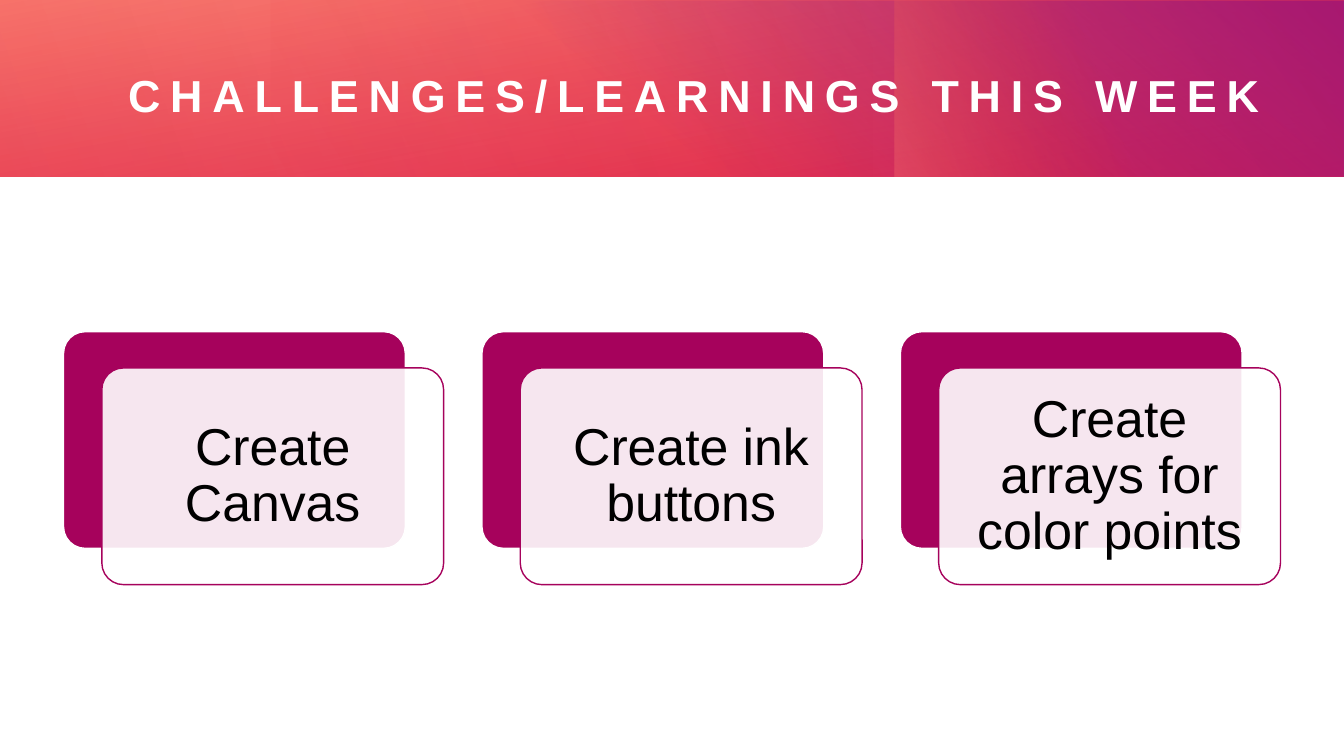
from typing import NamedTuple

from lxml.etree import SubElement
from pptx import Presentation
from pptx.dml.color import RGBColor
from pptx.enum.shapes import MSO_SHAPE
from pptx.enum.text import MSO_ANCHOR, PP_ALIGN
from pptx.oxml.ns import qn
from pptx.util import Inches, Pt

MAGENTA = "A6025C"
WHITE = "FFFFFF"
BLACK = "000000"
RED = "DA002F"
CORAL = "FF907A"
PURPLE = "92248E"
ORANGE = "FE4A00"

CARD_TEXTS = ["Create Canvas", "Create ink buttons", "Create arrays for color points"]
CARD_LEFT, CARD_TOP, CARD_STEP = 0.63, 3.29, 4.15
CARD_WIDTH, CARD_HEIGHT = 3.39, 2.15
FRONT_DX, FRONT_DY = 0.38, 0.36


class Stop(NamedTuple):
    percent: int
    color: str
    opacity: int = 100


class BannerLayer(NamedTuple):
    box: tuple[float, float, float, float]
    start: Stop
    end: Stop
    angle: int  # clockwise from left-to-right
    rotation: int = 0


BANNER = [
    BannerLayer((0, 0, 13.33, 1.75), Stop(0, RED, 83), Stop(100, CORAL), 260),
    BannerLayer((4.81, 0.01, 8.52, 1.74), Stop(22, PURPLE, 0), Stop(99, PURPLE), 310),
    BannerLayer((9.87, -0.99, 1.75, 3.74), Stop(45, ORANGE, 0), Stop(99, CORAL, 33), 250, 270),
    BannerLayer((2.68, 0, 10.64, 1.75), Stop(0, RED, 30), Stop(99, RED, 0), 330, 180),
    BannerLayer((0, 0, 8.65, 1.75), Stop(0, RED, 21), Stop(99, RED, 0), 340),
]


def rgb(color: str) -> RGBColor:
    return RGBColor.from_string(color)


def set_opacity(color_element, percent: int) -> None:
    SubElement(color_element, qn("a:alpha")).set("val", str(percent * 1000))


def add_banner_layer(s, layer: BannerLayer) -> None:
    sp = s.shapes.add_shape(MSO_SHAPE.RECTANGLE, *map(Inches, layer.box))
    sp.shadow.inherit = False
    sp.line.fill.background()
    sp.rotation = layer.rotation
    sp.fill.gradient()
    sp.fill.gradient_angle = 360 - layer.angle
    stops = (layer.start, layer.end)
    for gradient_stop, stop in zip(sp.fill.gradient_stops, stops):
        gradient_stop.position = stop.percent / 100
        gradient_stop.color.rgb = rgb(stop.color)
    for color_element, stop in zip(sp._element.spPr.iter(qn("a:srgbClr")), stops):
        set_opacity(color_element, stop.opacity)


def write_text(sp, text: str, *, size: float, color: str, bold: bool = False,
               align: PP_ALIGN = PP_ALIGN.LEFT, inset: float = 0,
               line_spacing: float = 1.0, tracking: float = 0) -> None:
    tf = sp.text_frame
    tf.word_wrap = True
    tf.vertical_anchor = MSO_ANCHOR.MIDDLE
    tf.margin_left = tf.margin_right = tf.margin_top = tf.margin_bottom = Inches(inset)
    p = tf.paragraphs[0]
    p.alignment = align
    p.line_spacing = line_spacing
    r = p.add_run()
    r.text = text
    r.font.name = "Arial"
    r.font.size = Pt(size)
    r.font.bold = bold
    r.font.color.rgb = rgb(color)
    if tracking:
        r.font._element.set("spc", str(int(tracking * 100)))


def add_panel(s, left: float, top: float, fill: str, line: str, opacity: int = 100):
    sp = s.shapes.add_shape(MSO_SHAPE.ROUNDED_RECTANGLE, Inches(left), Inches(top),
                            Inches(CARD_WIDTH), Inches(CARD_HEIGHT))
    sp.adjustments[0] = 0.1
    sp.shadow.inherit = False
    sp.fill.solid()
    sp.fill.fore_color.rgb = rgb(fill)
    if opacity < 100:
        set_opacity(next(sp._element.spPr.iter(qn("a:srgbClr"))), opacity)
    sp.line.color.rgb = rgb(line)
    sp.line.width = Pt(1)
    return sp


def add_card(s, left: float, text: str) -> None:
    add_panel(s, left, CARD_TOP, MAGENTA, WHITE)
    front = add_panel(s, left + FRONT_DX, CARD_TOP + FRONT_DY, WHITE, MAGENTA, opacity=90)
    write_text(front, text, size=37, color=BLACK, align=PP_ALIGN.CENTER,
               inset=0.15, line_spacing=0.9)


def main() -> None:
    prs = Presentation()
    prs.slide_width, prs.slide_height = Inches(13.33), Inches(7.5)
    s = prs.slides.add_slide(prs.slide_layouts[6])

    for layer in BANNER:
        add_banner_layer(s, layer)
    title = s.shapes.add_textbox(Inches(1.27), Inches(0.41), Inches(11.35), Inches(1.06))
    write_text(title, "CHALLENGES/LEARNINGS THIS WEEK", size=32, color=WHITE,
               bold=True, tracking=7)

    for i, text in enumerate(CARD_TEXTS):
        add_card(s, CARD_LEFT + i * CARD_STEP, text)

    prs.save("out.pptx")


if __name__ == "__main__":
    main()
